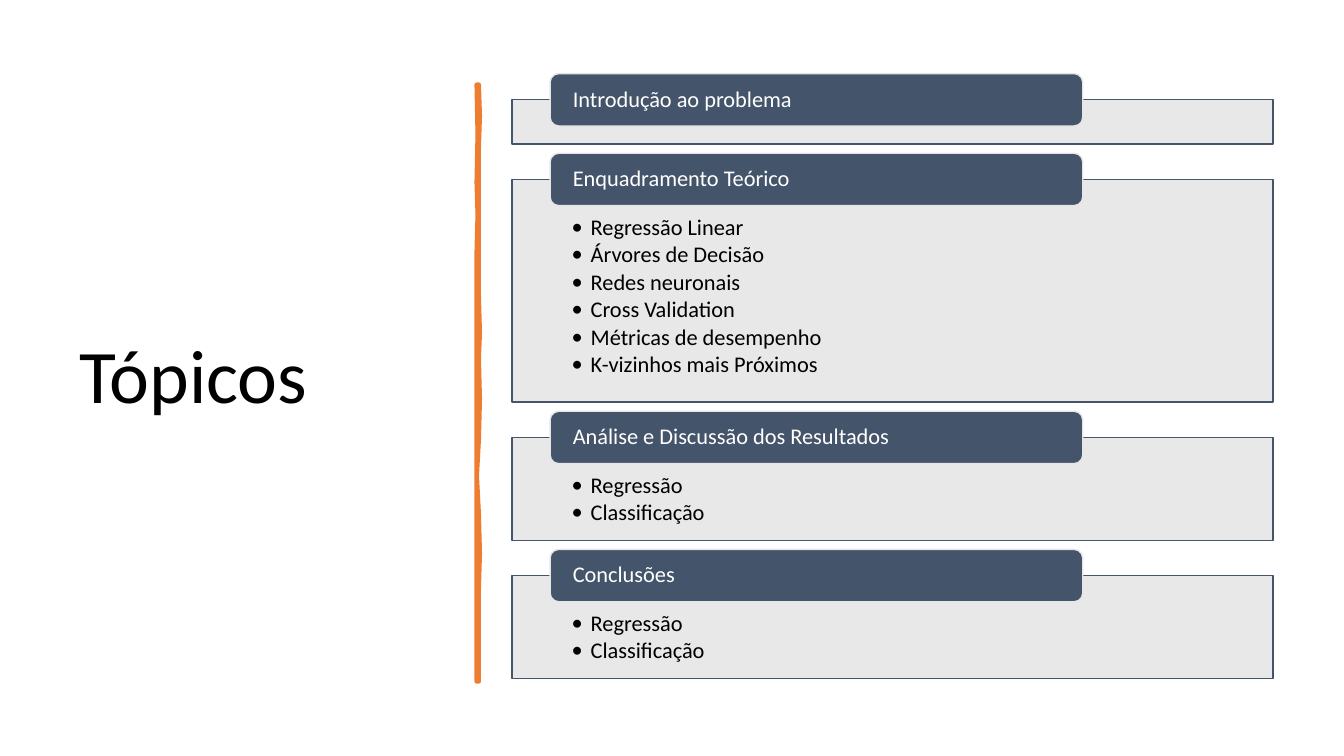
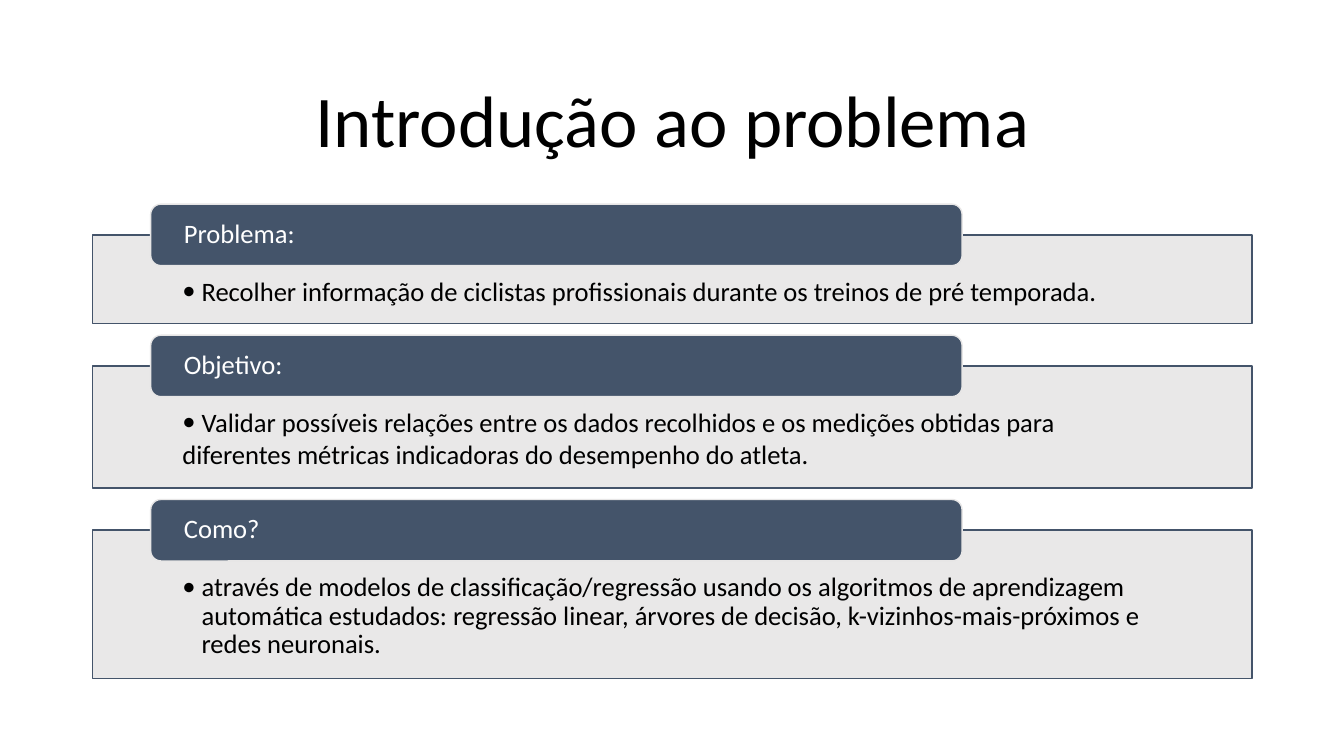
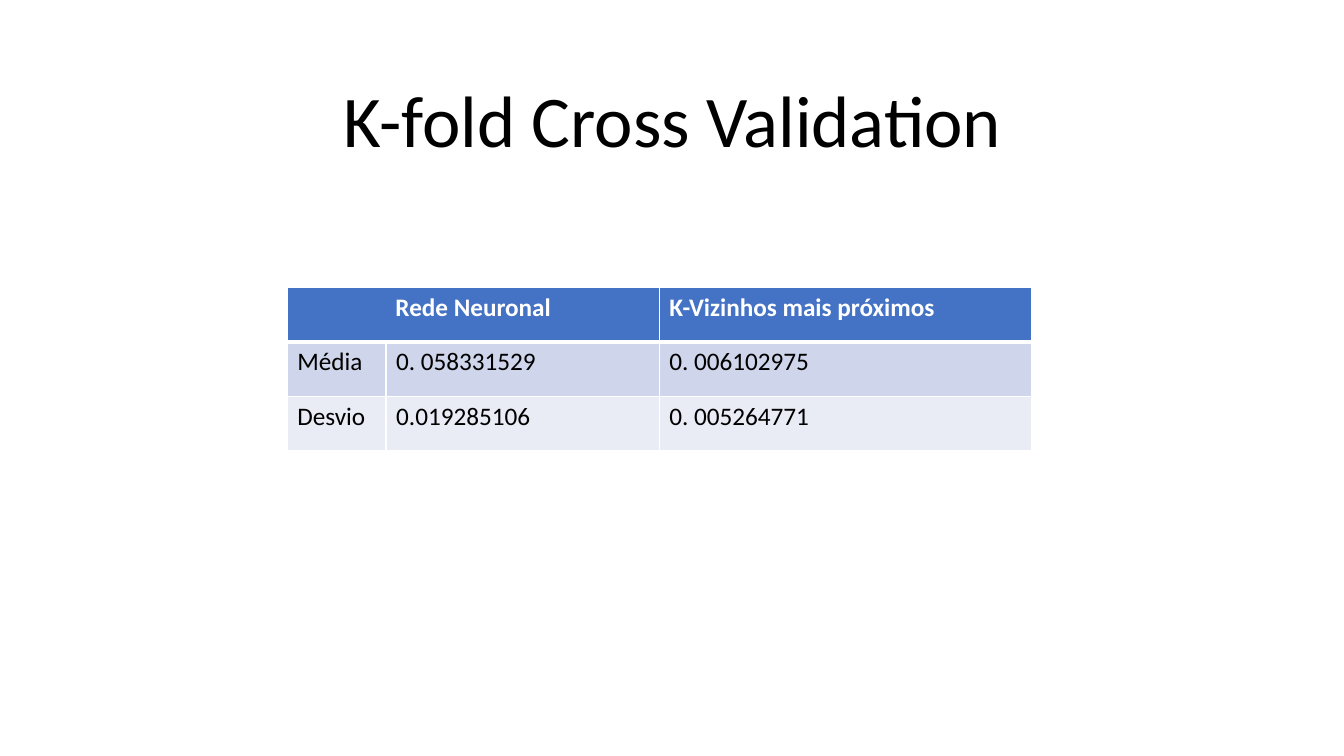
from lxml import etree
from pptx import Presentation
from pptx import util as u
from pptx.dml.color import RGBColor
from pptx.enum import shapes, text
from pptx.oxml import ns

PX = 9144
FONT = "Calibri"
COLORS = {
    "black": "000000",
    "white": "FFFFFF",
    "slate": "44546A",
    "panel": "E7E6E6",
    "orange": "ED7D31",
    "header": "4472C4",
    "band_dark": "CFD5EA",
    "band_light": "E9EBF5",
}
TITLE_BOX = (92, 61, 1150, 124)
BULLET = "•"

RULE_POINTS = [
    (475, 84), (476, 115), (475, 146), (475, 186), (475, 226), (475, 294),
    (476, 330), (475, 356), (476, 396), (475, 436), (473, 472), (475, 510),
    (476, 549), (475, 584), (475, 630), (475, 676), (473, 676), (473, 644),
    (473, 613), (473, 557), (473, 517), (473, 477), (473, 446), (473, 415),
    (473, 335), (473, 250), (474, 213), (473, 181), (474, 133), (473, 84),
]

TOPICS = [
    ("Introdução ao problema", 44, []),
    ("Enquadramento Teórico", 221, [
        "Regressão Linear", "Árvores de Decisão", "Redes neuronais",
        "Cross Validation", "Métricas de desempenho", "K-vizinhos mais Próximos"]),
    ("Análise e Discussão dos Resultados", 102, ["Regressão", "Classificação"]),
    ("Conclusões", 102, ["Regressão", "Classificação"]),
]
PROBLEM = [
    ("Problema:", 88, [
        "Recolher informação de ciclistas profissionais durante os treinos de pré temporada."]),
    ("Objetivo:", 121, [
        "Validar possíveis relações entre os dados recolhidos e os medições obtidas para",
        "diferentes métricas indicadoras do desempenho do atleta."]),
    ("Como?", 147, [
        "através de modelos de classificação/regressão usando os algoritmos de aprendizagem "
        "automática estudados: regressão linear, árvores de decisão, k-vizinhos-mais-próximos "
        "e redes neuronais."]),
]
CONTINUATIONS = {PROBLEM[1][2][1]}
RESULTS = [
    ("Rede Neuronal", None, "K-Vizinhos mais próximos"),
    ("Média", "0. 058331529", "0. 006102975"),
    ("Desvio", "0.019285106", "0. 005264771"),
]


def px(*lengths):
    """Turn px lengths into EMU."""
    return [u.Emu(round(length * PX)) for length in lengths]


def rgb(name):
    """Look up a named colour."""
    return RGBColor.from_string(COLORS[name])


def format_runs(paragraph, size, color, bold=False):
    """Set the font of every run in a paragraph."""
    for run in paragraph.runs:
        run.font.name = FONT
        run.font.size = u.Pt(size)
        run.font.bold = bold
        run.font.color.rgb = rgb(color)


def set_frame(frame, anchor, insets):
    """Set wrapping, anchor and the left, top, right and bottom insets."""
    frame.word_wrap = True
    frame.vertical_anchor = anchor
    (frame.margin_left, frame.margin_top,
     frame.margin_right, frame.margin_bottom) = px(*insets)


def add_slide(presentation, title, box=TITLE_BOX, size=52, align=text.PP_ALIGN.CENTER):
    """Add a title-only slide and format its title."""
    slide = presentation.slides.add_slide(presentation.slide_layouts[5])
    shape = slide.shapes.title
    shape.left, shape.top, shape.width, shape.height = px(*box)
    frame = shape.text_frame
    frame.text = title
    frame.auto_size = text.MSO_AUTO_SIZE.NONE
    set_frame(frame, text.MSO_ANCHOR.MIDDLE, (10, 5, 10, 5))
    paragraph = frame.paragraphs[0]
    paragraph.alignment = align
    paragraph.line_spacing = 0.9
    format_runs(paragraph, size, "black")
    return slide


def add_box(slide, kind, box, fill, line):
    """Add a filled, outlined preset shape."""
    shape = slide.shapes.add_shape(kind, *px(*box))
    shape.shadow.inherit = False
    shape.fill.solid()
    shape.fill.fore_color.rgb = rgb(fill)
    shape.line.color.rgb = rgb(line)
    shape.line.width = u.Pt(1)
    return shape


def set_bullet(paragraph, bulleted):
    """Give a paragraph a hanging indent, with or without a bullet."""
    properties = paragraph._p.get_or_add_pPr()
    indent = px(19)[0]
    properties.set("marL", str(indent))
    properties.set("indent", str(-indent))
    if bulleted:
        etree.SubElement(properties, ns.qn("a:buFont")).set("typeface", FONT)
        etree.SubElement(properties, ns.qn("a:buChar")).set("char", BULLET)
    else:
        etree.SubElement(properties, ns.qn("a:buNone"))


def add_card(slide, box, heading, items, size):
    """Add a panel with bulleted text and a heading tab over its top edge."""
    left, top, width, height = box
    panel = add_box(slide, shapes.MSO_SHAPE.RECTANGLE, box, "panel", "slate")
    color = panel.fill._xPr.find(".//" + ns.qn("a:srgbClr"))
    etree.SubElement(color, ns.qn("a:alpha")).set("val", "90000")
    if items:
        side = round(width * 0.0775)
        frame = panel.text_frame
        frame.text = "\n".join(items)
        set_frame(frame, text.MSO_ANCHOR.TOP, (side, round(size * 2.25), side, 12))
        for paragraph, item in zip(frame.paragraphs, items):
            paragraph.alignment = text.PP_ALIGN.LEFT
            paragraph.line_spacing = 0.9
            paragraph.space_after = u.Pt(size * 0.15)
            set_bullet(paragraph, item not in CONTINUATIONS)
            format_runs(paragraph, size, "black")

    tab_height = round(size * 3.23)
    tab_box = (left + width * 0.05, top - tab_height / 2, width * 0.7, tab_height)
    tab = add_box(slide, shapes.MSO_SHAPE.ROUNDED_RECTANGLE, tab_box, "slate", "panel")
    inset = round(width * 0.0264)
    tab.text_frame.text = heading
    set_frame(tab.text_frame, text.MSO_ANCHOR.MIDDLE, (inset, 0, inset, 0))
    paragraph = tab.text_frame.paragraphs[0]
    paragraph.alignment = text.PP_ALIGN.LEFT
    paragraph.line_spacing = 0.9
    format_runs(paragraph, size, "white")


def add_cards(slide, left, top, width, gap, cards, size):
    """Stack cards downwards with equal gaps."""
    for heading, height, items in cards:
        add_card(slide, (left, top, width, height), heading, items, size)
        top += height + gap


def add_wavy_rule(slide):
    """Add the hand-drawn vertical rule."""
    start, *points = [px(*point) for point in RULE_POINTS]
    builder = slide.shapes.build_freeform(*start, scale=1.0)
    builder.add_line_segments(points, close=True)
    rule = builder.convert_to_shape()
    rule.shadow.inherit = False
    rule.fill.solid()
    rule.fill.fore_color.rgb = rgb("orange")
    rule.line.color.rgb = rgb("orange")
    rule.line.width = u.Pt(3.25)


def set_borders(cell, widths):
    """Draw white cell borders, given a width in points for each side."""
    properties = cell._tc.get_or_add_tcPr()
    for side, width in widths.items():
        line = etree.SubElement(properties, ns.qn("a:ln" + side))
        line.set("w", str(u.Pt(width)))
        fill = etree.SubElement(line, ns.qn("a:solidFill"))
        etree.SubElement(fill, ns.qn("a:srgbClr")).set("val", COLORS["white"])


def add_results_table(slide, left, top, widths, row_height):
    """Add the table of results, with a merged first heading."""
    box = px(left, top, sum(widths), row_height * len(RESULTS))
    table = slide.shapes.add_table(len(RESULTS), len(widths), *box).table
    for column, width in zip(table.columns, px(*widths)):
        column.width = width
    table.cell(0, 0).merge(table.cell(0, 1))
    fills = ("header", "band_dark", "band_light")
    for row, values in enumerate(RESULTS):
        table.rows[row].height = px(row_height)[0]
        header = row == 0
        for column, value in enumerate(values):
            cell = table.cell(row, column)
            set_borders(cell, {"L": 1, "R": 1, "T": 3 if row == 1 else 1, "B": 3 if header else 1})
            cell.fill.solid()
            cell.fill.fore_color.rgb = rgb(fills[row])
            if value is not None:
                cell.text_frame.text = value
                format_runs(cell.text_frame.paragraphs[0], 18, "white" if header else "black", header)
    table.cell(0, 0).text_frame.paragraphs[0].alignment = text.PP_ALIGN.CENTER


def main():
    """Build and save the presentation."""
    presentation = Presentation()
    presentation.slide_width = u.Emu(12192000)
    presentation.slide_height = px(750)[0]

    topics = add_slide(presentation, "Tópicos", (69, 70, 374, 611), 54, text.PP_ALIGN.LEFT)
    add_wavy_rule(topics)
    add_cards(topics, 508, 99, 755, 35, TOPICS, 16)

    problem = add_slide(presentation, "Introdução ao problema")
    add_cards(problem, 92, 233, 1150, 42, PROBLEM, 19)

    validation = add_slide(presentation, "K-fold Cross Validation")
    add_results_table(validation, 285, 285, (98, 271, 369), 54)

    presentation.save("out.pptx")


if __name__ == "__main__":
    main()
